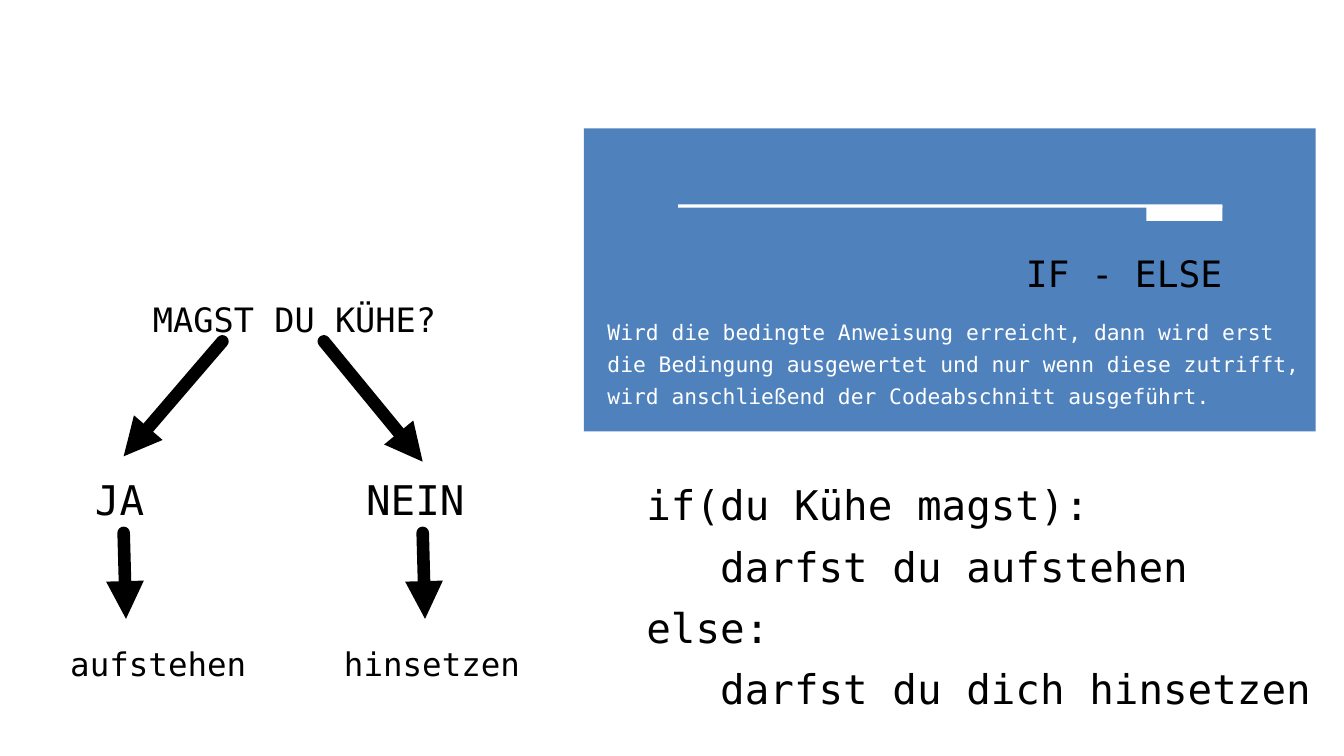
from lxml import etree
from pptx import Presentation
from pptx import util as u
from pptx.dml.color import RGBColor
from pptx.enum import shapes, text
from pptx.oxml.ns import qn

Pt = u.Pt
FONT = "DejaVu Sans Mono"
COLORS = {"panel": "4F81BD", "light": "FFFFFF", "ink": "000000"}


def color(name):
    return RGBColor.from_string(COLORS[name])


def add_bar(parent, left, top, width, height, fill):
    bar = parent.add_shape(shapes.MSO_SHAPE.RECTANGLE,
                           Pt(left), Pt(top), Pt(width), Pt(height))
    bar.shadow.inherit = False
    bar.fill.solid()
    bar.fill.fore_color.rgb = color(fill)
    bar.line.fill.background()


def add_text(parent, left, top, width, height, lines, size, spacing,
             ink="ink", align=text.PP_ALIGN.LEFT):
    """Write (indent, wording) lines into a text box without margins."""
    box = parent.add_textbox(Pt(left), Pt(top), Pt(width), Pt(height))
    frame = box.text_frame
    frame.word_wrap = True
    frame.margin_left = frame.margin_right = 0
    frame.margin_top = frame.margin_bottom = 0
    for number, (indent, wording) in enumerate(lines):
        para = frame.add_paragraph() if number else frame.paragraphs[0]
        para.alignment = align
        para.line_spacing = Pt(spacing)
        if indent:
            para._p.get_or_add_pPr().set("marL", str(Pt(indent)))
        span = para.add_run()
        span.text = wording
        span.font.name = FONT
        span.font.size = Pt(size)
        span.font.color.rgb = color(ink)


def add_arrow(parent, start, end):
    arrow = parent.add_connector(shapes.MSO_CONNECTOR.STRAIGHT,
                                 *(Pt(value) for value in (*start, *end)))
    arrow.line.color.rgb = color("ink")
    arrow.line.width = Pt(13.5)
    outline = arrow.line._get_or_add_ln()
    outline.set("cap", "rnd")
    etree.SubElement(outline, qn("a:tailEnd"), type="triangle")
    etree.SubElement(arrow._element.spPr, qn("a:effectLst"))


def add_definition(page, left, top, width, height):
    # Blue panel with a ruled heading, grouped
    group = page.shapes.add_group_shape().shapes
    add_bar(group, left, top, width, height, "panel")
    rule_left, rule_width, tab_width = left + 100.8, 583.2, 81.4
    add_bar(group, rule_left, top + 81.4, rule_width, 3.6, "light")
    add_bar(group, rule_left + rule_width - tab_width, top + 82.8,
            tab_width, 16.5, "light")
    add_text(group, rule_left, top + 131.8, rule_width, 45.4,
             [(0, "IF - ELSE")], 38.9, 46.7, align=text.PP_ALIGN.RIGHT)
    # Explanation
    add_text(page.shapes, left + 25.2, top + 197.3, width - 25.2, 99.4,
             [(0, "Wird die bedingte Anweisung erreicht, dann wird erst "
                  "die Bedingung ausgewertet und nur wenn diese zutrifft, "
                  "wird anschließend der Codeabschnitt ausgeführt.")],
             22.8, 34.2, "light")


def add_code(page, left, top, width, height):
    indent = 79.1
    lines = [(0, "if(du Kühe magst):"), (indent, "darfst du aufstehen"),
             (0, "else:"), (indent, "darfst du dich hinsetzen")]
    add_text(page.shapes, left, top, width, height, lines, 43.8, 65.7)


def add_decision_tree(page, left, top, width, height):
    # Question
    add_text(page.shapes, left, top, width, 43.2, [(0, "MAGST DU KÜHE?")],
             36, 43.2, align=text.PP_ALIGN.RIGHT)
    # Per branch: answer, its left, action, its left, arrow start, tip, tip height
    branches = [("JA", 26.4, "aufstehen", 0, 163, 57.2, 168.5),
                ("NEIN", 317, "hinsetzen", 293.3, 271.7, 377.6, 174.3)]
    action_height = 52.2
    for answer, answer_left, action, action_left, start, tip, tip_top in branches:
        add_arrow(page.shapes, (left + start, top + 45.4),
                  (left + tip, top + tip_top))
        add_text(page.shapes, left + answer_left, top + 175, 120, 65.7,
                 [(0, answer)], 43.8, 65.7)
        add_arrow(page.shapes, (left + tip, top + 250.6),
                  (left + tip + 2.5, top + 342.7))
        add_text(page.shapes, left + action_left, top + height - action_height,
                 200, action_height, [(0, action)], 34.8, action_height)


def main():
    deck = Presentation()
    deck.slide_width, deck.slide_height = Pt(1440), Pt(810)
    page = deck.slides.add_slide(deck.slide_layouts[6])
    add_definition(page, 625.7, 137.5, 784, 324.7)
    add_decision_tree(page, 75.3, 320.4, 392, 411.5)
    add_code(page, 692.6, 501.1, 745, 262.8)
    deck.save("out.pptx")


if __name__ == "__main__":
    main()
